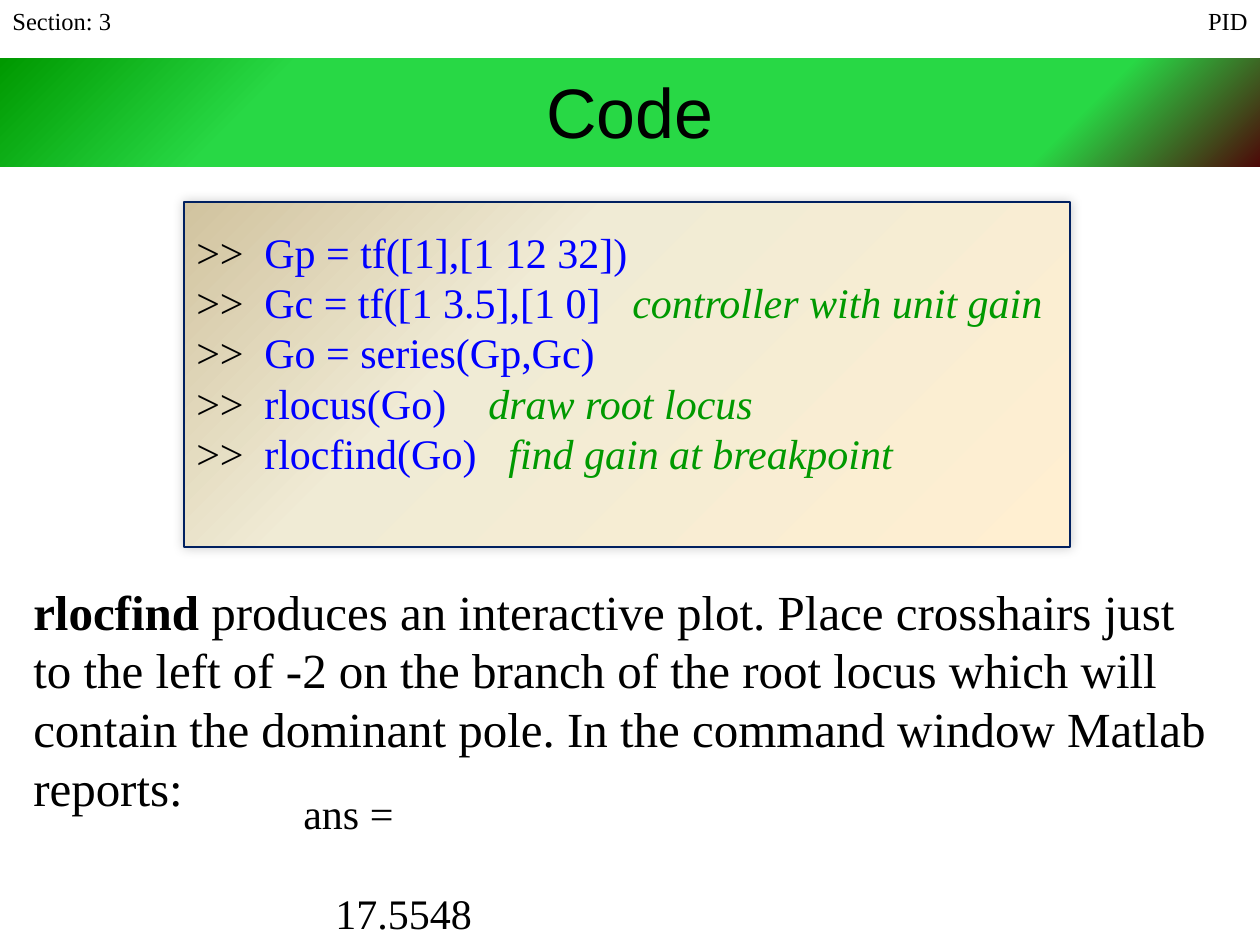
from lxml import etree
from pptx import Presentation
from pptx.dml.color import RGBColor
from pptx.enum.shapes import MSO_SHAPE
from pptx.enum.text import MSO_ANCHOR, PP_ALIGN
from pptx.oxml.ns import qn
from pptx.util import Emu, Pt

SCALE = 914400 / 126
RECT = MSO_SHAPE.RECTANGLE
LEFT, MID, RIGHT = PP_ALIGN.LEFT, PP_ALIGN.CENTER, PP_ALIGN.RIGHT
BOTTOM = MSO_ANCHOR.BOTTOM
SERIF, SANS = "Times New Roman", "Arial"
BLACK = RGBColor(0, 0, 0)
BLUE = RGBColor(0, 0, 255)
GREEN = RGBColor(0, 0x99, 0)
LIME = RGBColor(0x28, 0xD8, 0x45)
MAROON = RGBColor(0x4D, 0x08, 0x08)
NAVY = RGBColor(0, 0x20, 0x60)
CREAM = RGBColor(0xFF, 0xEF, 0xD1)
IVORY = RGBColor(0xF0, 0xEB, 0xD5)
TAN = RGBColor(0xD1, 0xC3, 0x9F)

# Prompt, command, comment and the tab stop of the comment
CODE = [
    ("Gp = tf([1],[1 12 32])", "", 0),
    ("Gc = tf([1 3.5],[1 0]", "controller with unit gain", 436),
    ("Go = series(Gp,Gc)", "", 0),
    ("rlocus(Go)", "draw root locus", 292),
    ("rlocfind(Go)", "find gain at breakpoint", 312),
]
INDENT = 68


def px(num):
    return Emu(round(num * SCALE))


def sub(node, tag, **vals):
    return etree.SubElement(node, qn(tag), {k: str(v) for k, v in vals.items()})


def add_run(para, text, **form):
    run = para.add_run()
    run.text = text
    look = {"name": SERIF, "size": Pt(24), **form}
    run.font.color.rgb = look.pop("color", BLACK)
    for key, val in look.items():
        setattr(run.font, key, val)


def add_box(slide, box):
    frame = slide.shapes.add_textbox(*map(px, box)).text_frame
    frame.word_wrap = True
    return frame


def set_tabs(para, stops):
    tabs = sub(para._p.get_or_add_pPr(), "a:tabLst")
    for stop in stops:
        sub(tabs, "a:tab", pos=px(stop), algn="l")


def add_panel(slide, box, stops, focus):
    """Rectangle with a radial gradient that starts at one corner."""
    shape = slide.shapes.add_shape(RECT, *map(px, box))
    shape.shadow.inherit = False
    shape.line.fill.background()
    shape.fill.gradient()
    grad = shape._element.spPr.find(qn("a:gradFill"))
    for child in list(grad):
        grad.remove(child)
    items = sub(grad, "a:gsLst")
    for pos, color in stops:
        stop = sub(items, "a:gs", pos=pos * 1000)
        sub(stop, "a:srgbClr", val=color)
    way = sub(grad, "a:path", path="circle")
    sub(way, "a:fillToRect", **{k: v * 1000 for k, v in zip("ltrb", focus)})
    return shape


def add_head(slide, box):
    """Running labels at both ends of the top edge."""
    x, y, w, h = box
    for text, left, wide, side in (("Section: 3", x, 223, LEFT),
                                   ("PID", x + w - 300, 300, RIGHT)):
        para = add_box(slide, (left, y, wide, h)).paragraphs[0]
        para.alignment = side
        add_run(para, text, size=Pt(14))


def add_title(slide, box):
    x, y, w, h = box
    stops = [(0, GREEN), (22, LIME), (83, LIME), (100, MAROON)]
    band = add_panel(slide, box, stops, (0, 0, 100, 100))
    title = slide.shapes.title
    place = (x + 94, y + 1, w - 188, h - 11)
    for key, val in zip(("left", "top", "width", "height"), place):
        setattr(title, key, px(val))
    title._element.addprevious(band._element)
    frame = title.text_frame
    frame.vertical_anchor = BOTTOM
    frame.margin_bottom = px(4)
    para = frame.paragraphs[0]
    para.alignment = MID
    add_run(para, "Code", name=SANS, size=Pt(40))


def add_code(slide, box):
    x, y, w, h = box
    stops = [(0, CREAM), (65, IVORY), (100, TAN)]
    panel = add_panel(slide, box, stops, (100, 100, 0, 0))
    panel.line.color.rgb = NAVY
    panel.line.width = Pt(0.75)
    glow = sub(panel._element.spPr.find(qn("a:effectLst")), "a:outerShdw",
               blurRad=Pt(6), dist=0, dir=315 * 60000, rotWithShape=0)
    sub(sub(glow, "a:srgbClr", val=BLACK), "a:alpha", val=20000)
    frame = add_box(slide, (x, y + 18, w + 246, h - 28))
    for num, (call, note, stop) in enumerate(CODE):
        para = frame.add_paragraph() if num else frame.paragraphs[0]
        set_tabs(para, [INDENT, stop] if note else [INDENT])
        add_run(para, ">>\t")
        add_run(para, call, color=BLUE)
        if note:
            add_run(para, "\t" + note, color=GREEN, italic=True)


def add_body(slide, box):
    para = add_box(slide, box).paragraphs[0]
    add_run(para, "rlocfind", size=Pt(28), bold=True)
    add_run(para, " produces an interactive plot. Place crosshairs just to the "
            "left of -2 on the branch of the root locus which will contain the "
            "dominant pole. In the command window Matlab reports:", size=Pt(28))


def add_reply(slide, box):
    frame = add_box(slide, box)
    add_run(frame.paragraphs[0], "ans =")
    para = frame.add_paragraph()
    para.space_before = Pt(28.8)
    para._p.get_or_add_pPr().set("marL", str(px(32)))
    add_run(para, "17.5548")


def main():
    deck = Presentation()
    deck.slide_width, deck.slide_height = px(1260), px(945)
    slide = deck.slides.add_slide(deck.slide_layouts[5])
    add_title(slide, (0, 59, 1260, 108))
    add_code(slide, (184, 202, 886, 345))
    add_head(slide, (0, 0, 1260, 42))
    add_body(slide, (21, 575, 1210, 250))
    add_reply(slide, (291, 781, 544, 165))
    deck.save("out.pptx")


if __name__ == "__main__":
    main()
